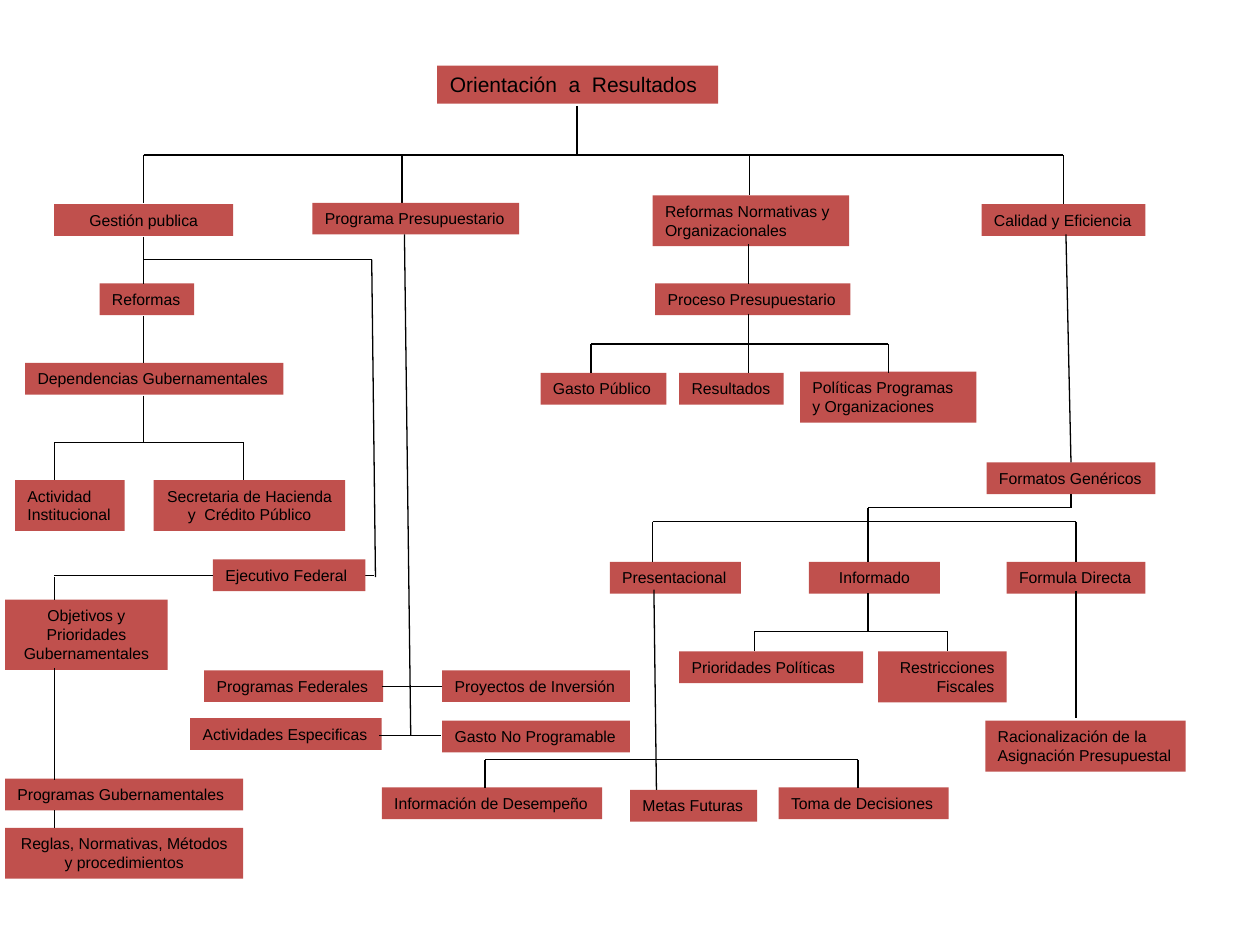
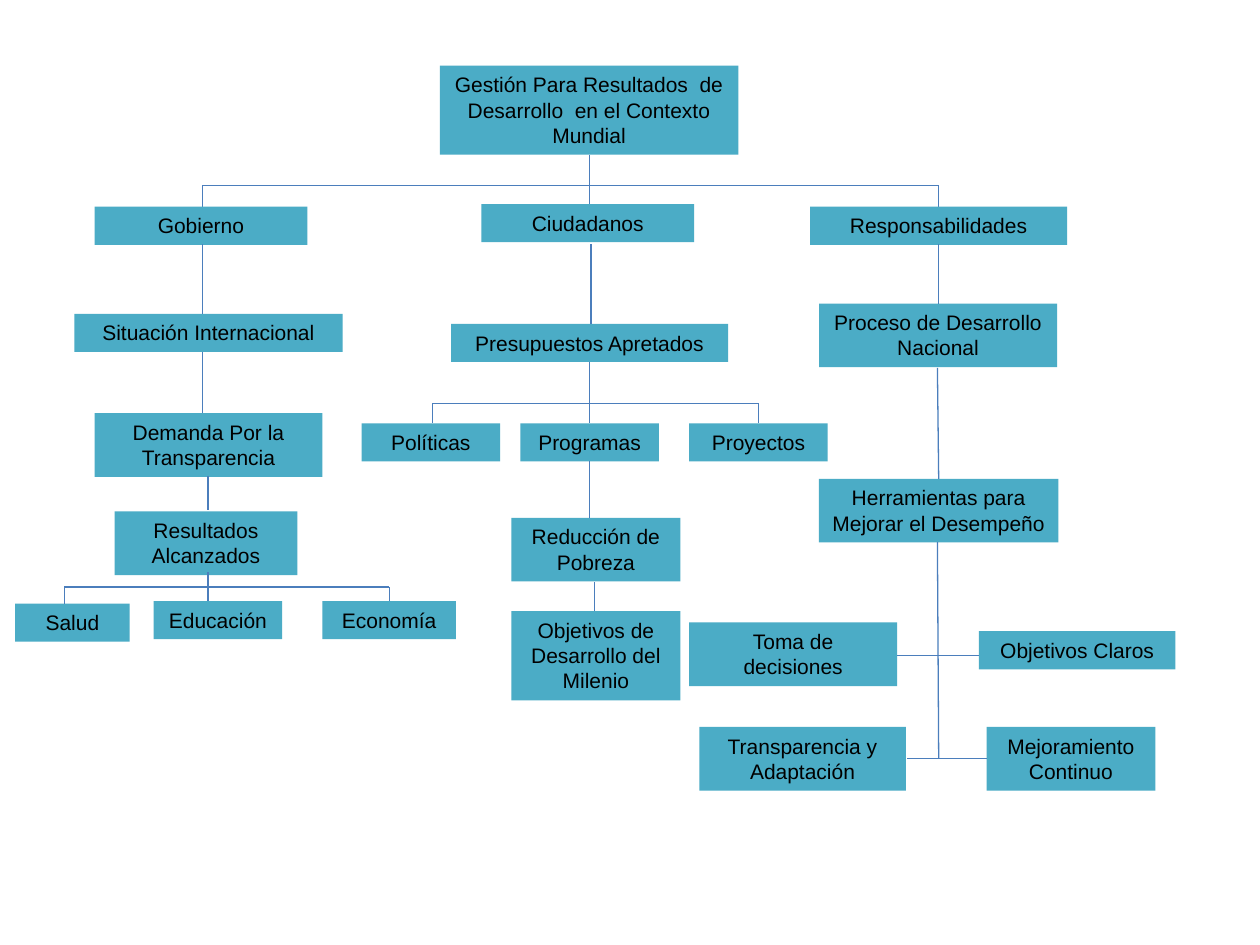
from dataclasses import dataclass

from lxml import etree
from pptx import Presentation
from pptx.dml.color import RGBColor
from pptx.enum.shapes import MSO_CONNECTOR, MSO_SHAPE
from pptx.enum.text import MSO_ANCHOR, PP_ALIGN
from pptx.oxml.ns import qn
from pptx.util import Inches, Pt

RECT, STRAIGHT = MSO_SHAPE.RECTANGLE, MSO_CONNECTOR.STRAIGHT
LEFT, CENTER, RIGHT = PP_ALIGN.LEFT, PP_ALIGN.CENTER, PP_ALIGN.RIGHT

# The slide is a grid of 100 columns by 75 rows; all lengths count its cells
COLUMNS, ROWS = 100, 75
CELL = Inches(0.1)
FONT = "Arial"
TEXT_COLOR = "000000"
TITLE_SIZE = 12
LINE_HEIGHT = 0.169  # cells per point of text size
PADDING = 1          # cells above and below the text together


@dataclass
class Style:
    fill: str
    line: str
    size: int
    align: PP_ALIGN


RED = Style("C0504D", "000000", 9, LEFT)
BLUE = Style("4BACC6", "4B7EBC", 12, CENTER)


def color(hex_value):
    return RGBColor.from_string(hex_value)


def cells(*counts):
    return [round(count * CELL) for count in counts]


@dataclass
class Region:
    """Part of a concept map, placed from its own left column and top row."""
    slide: object
    style: Style
    left: float
    top: float

    def concept(self, text, x, y, width, lines=1, align=None, title=False):
        size = TITLE_SIZE if title else self.style.size
        align = self.style.align if align is None else align
        height = PADDING + lines * size * LINE_HEIGHT
        place = cells(self.left + x, self.top + y, width, height)
        shapes = self.slide.shapes
        if title:
            node = shapes.title
            node.left, node.top, node.width, node.height = place
        else:
            node = shapes.add_shape(RECT, *place)
            node.shadow.inherit = False
        node.fill.solid()
        node.fill.fore_color.rgb = color(self.style.fill)
        node.line.fill.background()

        # A single left-aligned line may use the right margin too
        frame = node.text_frame
        frame.text = text
        tight = lines == 1 and align == LEFT
        frame_format = {
            "word_wrap": True, "vertical_anchor": MSO_ANCHOR.TOP,
            "margin_left": CELL, "margin_right": 0 if tight else CELL,
            "margin_top": CELL // 2, "margin_bottom": CELL // 2,
        }
        for name, value in frame_format.items():
            setattr(frame, name, value)
        for paragraph in frame.paragraphs:
            paragraph.alignment = align
            for run in paragraph.runs:
                for name, value in {"name": FONT, "size": Pt(size)}.items():
                    setattr(run.font, name, value)
                run.font.color.rgb = color(TEXT_COLOR)

    def concepts(self, *rows):
        for row in rows:
            self.concept(*row)

    def link(self, *points):
        """Join the points one after another."""
        for (x1, y1), (x2, y2) in zip(points, points[1:]):
            ends = cells(self.left + x1, self.top + y1,
                         self.left + x2, self.top + y2)
            line = self.slide.shapes.add_connector(STRAIGHT, *ends)
            line.line.color.rgb = color(self.style.line)
            line.line.width = Pt(0.75)
            properties = line._element.find(qn("p:spPr"))
            etree.SubElement(properties, qn("a:effectLst"))

    def vertical(self, x, *spans):
        for start, end in spans:
            self.link((x, start), (x, end))

    def fan(self, stem, bar, *drops):
        """Stem down to a horizontal bar, then one drop to each child."""
        self.link(stem, (stem[0], bar))
        self.link((drops[0][0], bar), (drops[-1][0], bar))
        for x, end in drops:
            self.link((x, bar), (x, end))


# ---- Slide 1: results orientation ----

def results_header(region):
    region.concept("Orientación  a  Resultados", 24.7, 0.2, 22.3, title=True)
    region.fan((35.8, 3.4), 7.3, (1.4, 11.1), (21.9, 11.1),
               (49.5, 10.5), (74.4, 11.2))


def public_management(region):
    region.concepts(
        ("Gestión publica", 4.3, 1.2, 14.2, 1, CENTER),
        ("Reformas", 7.9, 7.5, 7.5),
        ("Dependencias Gubernamentales", 2, 13.8, 20.5),
        ("Actividad Institucional", 1.2, 23.1, 8.7, 2),
        ("Secretaria de Hacienda y  Crédito Público",
         12.2, 23.1, 15.2, 2, CENTER),
    )
    region.vertical(11.4, (3.8, 7.5), (10.1, 13.8))
    region.fan((11.4, 16.4), 20.1, (4.3, 23.1), (19.3, 23.1))
    # Side route down to the federal executive
    region.link((11.4, 5.6), (29.5, 5.6), (29.8, 30.8))
    region.link((29.7, 30.7), (29, 30.7))


def federal_executive(region):
    region.concepts(
        ("Ejecutivo Federal", 16.9, 0.4, 12.1),
        ("Objetivos y Prioridades Gubernamentales",
         0.4, 3.6, 12.9, 3, CENTER),
        ("Programas Gubernamentales", 0.4, 17.8, 18.9),
        ("Reglas, Normativas, Métodos y procedimientos",
         0.4, 21.7, 18.9, 2, CENTER),
    )
    region.link((16.9, 1.7), (4.3, 1.7))
    region.vertical(4.3, (1.8, 3.6), (9, 17.9), (20.3, 21.7))


def budget_program(region):
    region.concepts(
        ("Programa Presupuestario", 9.8, 0.1, 16.4),
        ("Programas Federales", 1.2, 37.2, 14.2),
        ("Proyectos de Inversión", 20.1, 37.2, 14.9),
        ("Actividades Especificas", 0.1, 41, 15.2),
        ("Gasto No Programable", 20.1, 41.2, 14.9),
    )
    region.link((17.1, 2.6), (17.6, 42.4))
    region.link((15.3, 38.5), (20.1, 38.5))
    region.link((15.1, 42.4), (20, 42.4))


def regulatory_reforms(region):
    region.concepts(
        ("Reformas Normativas y\nOrganizacionales", 9.8, 0.5, 15.6, 2),
        ("Proceso Presupuestario", 10, 7.5, 15.5),
        ("Gasto Público", 0.9, 14.6, 10),
        ("Resultados", 11.9, 14.6, 8.3),
        ("Políticas Programas y Organizaciones", 21.5, 14.5, 14, 2),
    )
    region.vertical(17.4, (4.4, 7.5))
    region.fan((17.4, 9.9), 12.3, (4.9, 14.6), (17.4, 14.6), (28.5, 14.6))


def quality(region):
    region.concepts(
        ("Calidad y Eficiencia", 47.9, 0.2, 13),
        ("Formatos Genéricos", 48.3, 20.7, 13.4),
        ("Presentacional", 18.4, 28.6, 10.4),
        ("Informado", 34.2, 28.6, 10.4, 1, CENTER),
        ("Formula Directa", 49.9, 28.6, 11),
        ("Prioridades Políticas", 23.9, 35.7, 14.6),
        ("Restricciones Fiscales", 39.7, 35.7, 10.2, 2, RIGHT),
        ("Racionalización de la\nAsignación Presupuestal",
         48.2, 41.2, 15.9, 2),
        ("Información de Desempeño", 0.3, 46.5, 17.5),
        ("Metas Futuras", 20, 46.7, 10.1),
        ("Toma de Decisiones", 31.8, 46.5, 13.5),
    )
    # Generic formats and their three kinds
    region.link((54.6, 2.6), (55, 20.7))
    region.link((55, 23.2), (55, 24.3), (38.9, 24.3))
    region.fan((38.9, 24.3), 25.4, (21.8, 28.6), (38.9, 28.6), (55.4, 28.6))
    # What each kind leads to
    region.fan((38.9, 31.1), 34.1, (29.9, 35.7), (45.2, 35.7))
    region.link((21.9, 30.8), (22.1, 46.7))
    region.link((8.5, 46.5), (8.5, 44.3), (38.1, 44.3), (38.1, 46.5))
    region.vertical(55.4, (30.9, 41))


# ---- Slide 2: management for development results ----

def development_header(region):
    region.concept("Gestión Para Resultados  de Desarrollo  en el Contexto "
                   "Mundial", 24.9, 0.2, 23.7, 3, title=True)
    region.fan((36.8, 7.3), 9.7, (6.1, 11.4), (36.8, 11.4), (64.5, 11.4))


def government(region):
    region.concepts(
        ("Gobierno", 7.5, 0.4, 16.9),
        ("Situación Internacional", 5.9, 8.9, 21.3),
        ("Demanda Por la Transparencia", 7.5, 16.8, 18.1, 2),
        ("Resultados Alcanzados", 9.1, 24.6, 14.5, 2),
        ("Salud", 1.2, 31.9, 9.1),
        ("Educación", 12.2, 31.7, 10.2),
        ("Economía", 25.6, 31.7, 10.6),
    )
    region.vertical(16.1, (3.4, 8.9), (11.9, 16.8))
    region.vertical(16.5, (21.8, 24.5))
    region.fan((16.5, 29.4), 30.6, (5.1, 31.9), (16.5, 31.7), (30.9, 31.7))


def citizens(region):
    region.concepts(
        ("Ciudadanos", 10.2, 0.2, 16.9),
        ("Presupuestos Apretados", 7.8, 9.7, 22),
        ("Políticas", 0.7, 17.6, 11),
        ("Programas", 13.3, 17.6, 11),
        ("Proyectos", 26.7, 17.6, 11),
        ("Reducción de Pobreza", 12.6, 25.1, 13.4, 2),
        ("Objetivos de Desarrollo del Milenio", 12.6, 32.5, 13.4, 3),
    )
    region.vertical(18.9, (3.4, 9.7))
    region.fan((18.8, 12.7), 16, (6.3, 17.6), (18.8, 17.6), (32.2, 17.6))
    region.vertical(18.8, (20.6, 25.1))
    region.vertical(19.2, (30.2, 32.5))


def responsibilities(region):
    region.concepts(
        ("Responsabilidades", 10.3, 0.4, 20.4),
        ("Proceso de Desarrollo Nacional", 11, 8.1, 18.9, 2),
        ("Herramientas para Mejorar el Desempeño", 11, 22, 19, 2),
        ("Toma de decisiones", 0.7, 33.4, 16.5, 2),
        ("Objetivos Claros", 23.7, 34.1, 15.6),
        ("Transparencia y Adaptación", 1.5, 41.7, 16.4, 2),
        ("Mejoramiento Continuo", 24.3, 41.7, 13.4, 2),
    )
    region.vertical(20.5, (3.4, 8.1))
    region.link((20.4, 13.2), (20.5, 22))
    region.link((20.4, 27), (20.5, 44.2))
    region.link((17.2, 36), (23.7, 36))
    region.link((18, 44.2), (24.3, 44.2))


# Each map: its style and the left column and top row of every region
MAPS = [
    (RED, [(results_header, 10, 5), (public_management, 0, 15),
           (federal_executive, 0, 44), (budget_program, 15, 16),
           (regulatory_reforms, 42, 15), (quality, 30, 16)]),
    (BLUE, [(development_header, 10, 5), (government, 0, 16),
            (citizens, 28, 16), (responsibilities, 54, 16)]),
]


def main():
    deck = Presentation()
    deck.slide_width, deck.slide_height = cells(COLUMNS, ROWS)
    title_only = deck.slide_layouts[5]
    for style, regions in MAPS:
        slide = deck.slides.add_slide(title_only)
        for draw, left, top in regions:
            draw(Region(slide, style, left, top))
    deck.save("out.pptx")


if __name__ == "__main__":
    main()
